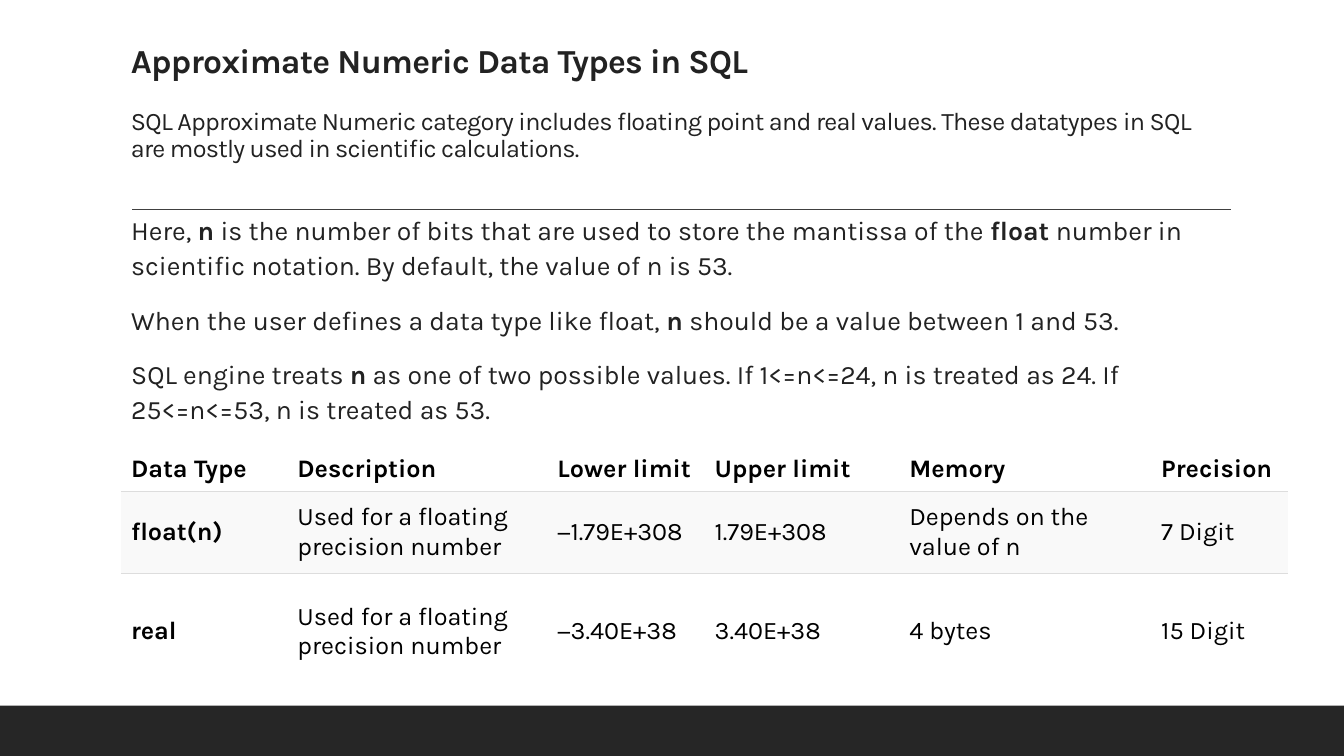
from lxml.etree import SubElement
from pptx import Presentation
from pptx.dml.color import RGBColor
from pptx.enum.shapes import MSO_CONNECTOR, MSO_SHAPE
from pptx.enum.text import MSO_ANCHOR
from pptx.oxml import parse_xml
from pptx.oxml.ns import nsdecls, qn
from pptx.util import Inches, Pt

WIDTH, HEIGHT = Inches(13.33), Inches(7.5)
INK, BLACK, BAND, RULE = "222222", "000000", "262626", "404040"
STRIPE, BORDER = "F9F9F9", "DDDDDD"

TITLE = "Approximate Numeric Data Types in SQL"
SUBTITLE = (
    "SQL Approximate Numeric category includes floating point and real values. "
    "These datatypes in SQL are mostly used in scientific calculations."
)
NOTES = [
    ["Here, ", "n", " is the number of bits that are used to store the mantissa of the ",
     "float ", "number in scientific notation. By default, the value of n is 53."],
    ["When the user defines a data type like float, ", "n",
     " should be a value between 1 and 53."],
    ["SQL engine treats ", "n", " as one of two possible values. If 1<=n<=24, "
     "n is treated as 24. If 25<=n<=53, n is treated as 53."],
]
ROWS = [
    ["Data Type", "Description", "Lower limit", "Upper limit", "Memory", "Precision"],
    ["float(n)", "Used for a floating precision number", "−1.79E+308", "1.79E+308",
     "Depends on the value of n", "7 Digit"],
    ["real", "Used for a floating precision number", "−3.40E+38", "3.40E+38",
     "4 bytes", "15 Digit"],
]
COLUMN_SHARES = [12.38, 19.35, 11.7, 14.48, 18.75, 10.2]
ROW_SHARES = [5.73, 10.93, 15.33]


def across(share):
    """Turn a percentage of the slide width into a length."""
    return int(WIDTH * share / 100)


def down(share):
    """Turn a percentage of the slide height into a length."""
    return int(HEIGHT * share / 100)


def box(x, y, w, h):
    """Turn four percentages into left, top, width and height."""
    return across(x), down(y), across(w), down(h)


def rgb(color):
    """Turn a hex string into a colour."""
    return RGBColor.from_string(color)


def apply(target, **values):
    """Set each given attribute on the target."""
    for name, value in values.items():
        setattr(target, name, value)


def add_run(p, text, size, color, bold=False):
    """Append a formatted run to a paragraph."""
    r = p.add_run()
    r.text = text
    apply(r.font, name="Karla", size=Pt(size), bold=bold)
    r.font.color.rgb = rgb(color)
    return r


def add_text(s, place, paragraphs, **spacing):
    """Add a text box of paragraphs, each a list of (text, size, bold, tracking)."""
    tf = s.shapes.add_textbox(*place).text_frame
    tf.word_wrap = True
    for i, runs in enumerate(paragraphs):
        p = tf.paragraphs[0] if i == 0 else tf.add_paragraph()
        apply(p, **spacing)
        if i == 0:
            p.space_before = Pt(0)
        for text, size, bold, tracking in runs:
            r = add_run(p, text, size, INK, bold)
            if tracking:
                r.font._element.set("spc", str(tracking))


def add_band(s, place):
    """Add the dark band along the slide's foot."""
    sp = s.shapes.add_shape(MSO_SHAPE.RECTANGLE, *place)
    sp.shadow.inherit = False
    sp.fill.solid()
    sp.fill.fore_color.rgb = rgb(BAND)
    sp.line.fill.background()


def add_rule(s, left, right, y):
    """Add a thin horizontal rule."""
    line = s.shapes.add_connector(
        MSO_CONNECTOR.STRAIGHT, across(left), down(y), across(right), down(y))
    line.line.width = Pt(1)
    line.line.color.rgb = rgb(RULE)
    SubElement(line._element.spPr, qn("a:effectLst"))


def set_borders(cell, top, bottom):
    """Draw only the wanted horizontal borders of a cell."""
    drawn = f'<a:solidFill><a:srgbClr val="{BORDER}"/></a:solidFill>'
    sides = {"lnL": False, "lnR": False, "lnT": top, "lnB": bottom}
    for i, (side, shown) in enumerate(sides.items()):
        fill = drawn if shown else "<a:noFill/>"
        cell._tc.get_or_add_tcPr().insert(i, parse_xml(
            f'<a:{side} {nsdecls("a")} w="{Pt(0.6)}">{fill}</a:{side}>'))


def add_type_table(s, place):
    """Add the table of data types with one striped row."""
    table = s.shapes.add_table(len(ROWS), len(ROWS[0]), *place).table
    apply(table, first_row=False, horz_banding=False)
    for column, share in zip(table.columns, COLUMN_SHARES):
        column.width = across(share)
    for i, (row, share) in enumerate(zip(table.rows, ROW_SHARES)):
        row.height = down(share)
        for j, cell in enumerate(row.cells):
            cell.vertical_anchor = MSO_ANCHOR.MIDDLE
            add_run(cell.text_frame.paragraphs[0], ROWS[i][j], 18, BLACK, i == 0 or j == 0)
            if i == 1:
                cell.fill.solid()
                cell.fill.fore_color.rgb = rgb(STRIPE)
            else:
                cell.fill.background()
            set_borders(cell, i > 0, i < len(ROWS) - 1)


def main():
    """Build the slide and save it."""
    prs = Presentation()
    apply(prs, slide_width=WIDTH, slide_height=HEIGHT)
    s = prs.slides.add_slide(prs.slide_layouts[6])
    add_band(s, box(0, 93.33, 100, 6.67))
    add_rule(s, 9.83, 91.6, 27.7)
    heading = [[(TITLE, 24, True, -50)], [(SUBTITLE, 18, False, -50)]]
    add_text(s, box(9, 5.2, 82.5, 20.9), heading, line_spacing=0.9, space_before=Pt(20))
    notes = [[(text, 19, i % 2 == 1, 0) for i, text in enumerate(note)] for note in NOTES]
    add_text(s, box(9.03, 27.2, 83.2, 30), notes,
             line_spacing=1.1, space_before=Pt(12), space_after=Pt(2))
    add_type_table(s, box(9, 59.2, sum(COLUMN_SHARES), sum(ROW_SHARES)))
    prs.save("out.pptx")


if __name__ == "__main__":
    main()
